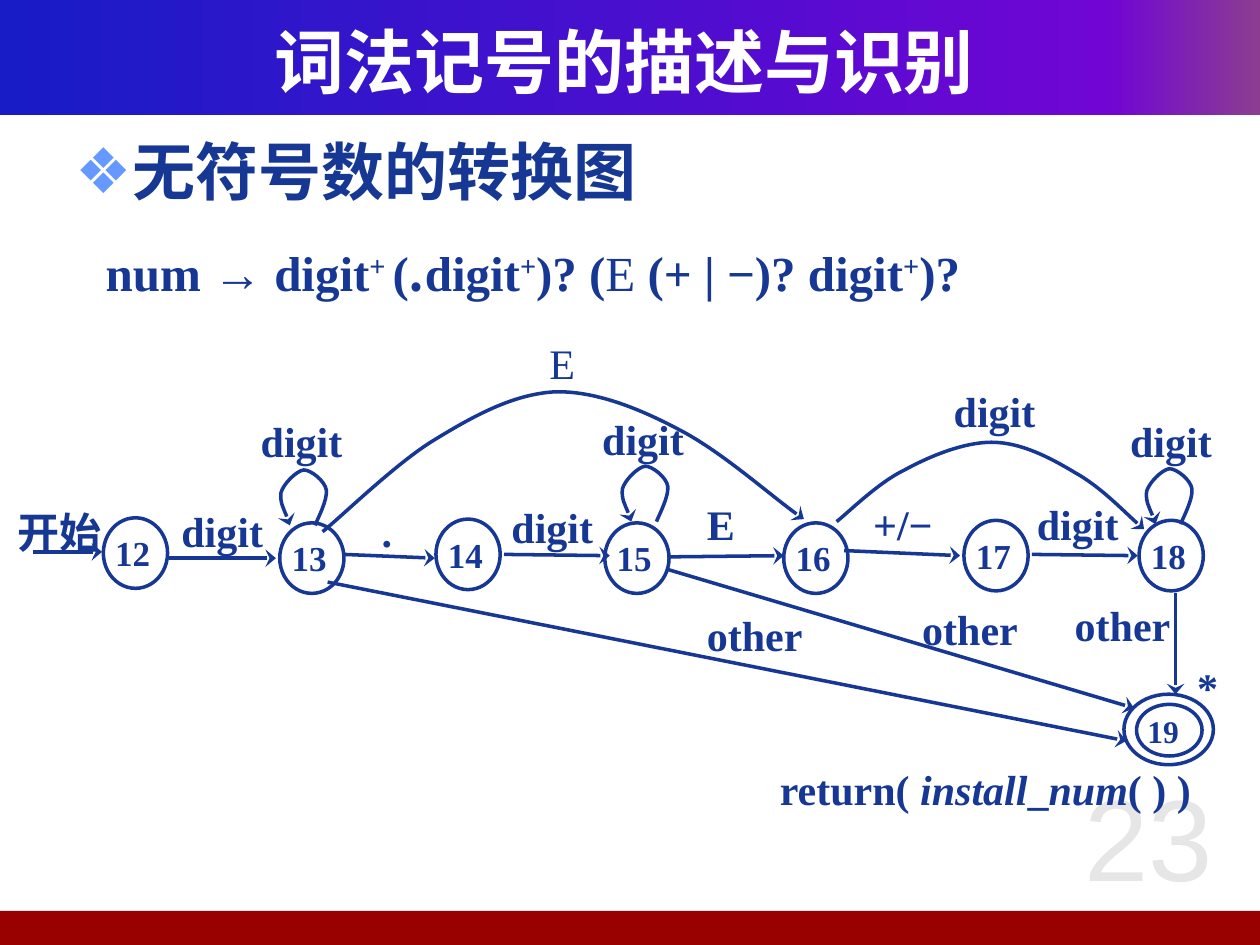
from dataclasses import dataclass

from lxml import etree
from pptx import Presentation
from pptx.dml.color import RGBColor
from pptx.enum.shapes import MSO_CONNECTOR, MSO_SHAPE
from pptx.enum.text import MSO_ANCHOR, PP_ALIGN
from pptx.oxml.ns import qn
from pptx.util import Inches, Pt

RECTANGLE, OVAL = MSO_SHAPE.RECTANGLE, MSO_SHAPE.OVAL
STRAIGHT = MSO_CONNECTOR.STRAIGHT
LEFT, CENTER, JUSTIFY = PP_ALIGN.LEFT, PP_ALIGN.CENTER, PP_ALIGN.JUSTIFY
TOP, MIDDLE = MSO_ANCHOR.TOP, MSO_ANCHOR.MIDDLE
SERIF, CHINESE = "Times New Roman", "Noto Sans CJK SC"
NAVY, WHITE = "163794", "FFFFFF"
DEFAULT_INSETS = (0.1, 0.05, 0.1, 0.05)
LABEL_INSETS = (0.06, 0.03, 0.06, 0.03)
STATE_INSETS = (0.02, 0.03, 0.02, 0.05)


@dataclass
class State:
    name: str
    left: float
    top: float


@dataclass
class Label:
    text: str
    left: float
    top: float
    width: float = 0.87
    height: float = 0.53
    bold: bool = True


STATES = [
    State("12", 0.82, 4.11), State("13", 2.22, 4.15), State("14", 3.46, 4.12),
    State("15", 4.8, 4.15), State("16", 6.22, 4.15), State("17", 7.65, 4.13),
    State("18", 9.04, 4.13),
]
LABELS = [
    Label("开始", 0.08, 3.99, 0.83, 0.4),
    Label("digit", 1.38, 3.98, 0.85, 0.42), Label("digit", 2.01, 3.27, 0.87, 0.46),
    Label("digit", 4, 3.95), Label("digit", 4.72, 3.25), Label("digit", 8.17, 3.93),
    Label("digit", 8.91, 3.27), Label("digit", 7.51, 3.03),
    Label("other", 8.47, 4.73, 1.07), Label("other", 7.26, 4.76, 1.07),
    Label("other", 5.55, 4.81, 1.07),
    Label(".", 2.97, 3.98, 0.46), Label("E", 5.55, 3.93, 0.82),
    Label("+/−", 6.87, 3.93, 0.82), Label("E", 4.3, 2.65, 0.58, 0.42, bold=False),
    Label("*", 9.44, 5.22, 0.45),
]
ARROWS = [
    ((0.26, 4.38), (0.81, 4.38)), ((1.34, 4.43), (2.19, 4.43)),
    ((2.73, 4.4), (3.45, 4.43)), ((4, 4.4), (4.84, 4.41)),
    ((5.3, 4.42), (6.22, 4.41)), ((6.7, 4.37), (7.62, 4.41)),
    ((8.19, 4.4), (9.03, 4.41)), ((9.33, 4.71), (9.33, 5.51)),
    ((5.3, 4.52), (9, 5.62)), ((2.6, 4.62), (8.94, 5.88)),
]
LOOP = [
    (0.28, 0.44), (0.3, 0.39), (0.38, 0.24), (0.37, 0.16), (0.36, 0.09), (0.25, 0),
    (0.19, 0), (0.13, 0.01), (0.03, 0.11), (0.01, 0.18), (0, 0.26), (0.07, 0.39),
    (0.08, 0.44),
]
LOOP_ORIGINS = [(2.22, 3.73), (4.93, 3.7), (9.09, 3.72)]
ARCS = [
    [(2.56, 4.22), (2.71, 4.1), (3.15, 3.67), (3.45, 3.49), (3.76, 3.3), (4.07, 3.13),
     (4.4, 3.11), (4.72, 3.1), (5.07, 3.24), (5.39, 3.41), (5.72, 3.58), (6.17, 3.98),
     (6.38, 4.12)],
    [(6.64, 4.14), (6.73, 4.07), (6.97, 3.83), (7.18, 3.73), (7.38, 3.62), (7.65, 3.51),
     (7.87, 3.51), (8.1, 3.51), (8.33, 3.63), (8.53, 3.75), (8.73, 3.86), (8.97, 4.11),
     (9.08, 4.2)],
]
FORMULA = [
    ("num → digit", {}), ("+ ", {"raised": True}), ("(", {}), (".", {"font": CHINESE}),
    ("digit", {}), ("+", {"raised": True}), (")? (", {}), ("E ", {"bold": False}),
    ("(+ | −)? digit", {}), ("+", {"raised": True}), (")?", {}),
]
RETURN_CALL = [
    ("return( ", {}), ("install", {"italic": True}), ("_", {}),
    ("num", {"italic": True}), ("( ) )", {}),
]
GRADIENT = [(0, "181CC7"), (88, "7005D4"), (100, "8C3D91")]


def color(value: str) -> RGBColor:
    return RGBColor.from_string(value)


def add_run(paragraph, text: str, *, size=24, font=SERIF, fill=NAVY, bold=True,
            italic=False, raised=False) -> None:
    run = paragraph.add_run()
    run.text = text
    run.font.size = Pt(size)
    run.font.name = font
    run.font.bold = bold
    run.font.italic = italic
    run.font.color.rgb = color(fill)
    properties = run.font._element
    if any("一" <= character <= "龥" for character in text):
        etree.SubElement(properties, qn("a:ea")).set("typeface", CHINESE)
    if raised:
        properties.set("baseline", "30000")


def format_frame(shape, insets=DEFAULT_INSETS, align=LEFT, anchor=TOP):
    frame = shape.text_frame
    frame.word_wrap = True
    frame.vertical_anchor = anchor
    (frame.margin_left, frame.margin_top,
     frame.margin_right, frame.margin_bottom) = map(Inches, insets)
    frame.paragraphs[0].alignment = align
    return frame.paragraphs[0]


def place(shape, left: float, top: float, width: float, height: float) -> None:
    shape.left, shape.top = Inches(left), Inches(top)
    shape.width, shape.height = Inches(width), Inches(height)


def add_box(slide, preset, box, *, fill=None, line=None, weight=2):
    shape = slide.shapes.add_shape(preset, *map(Inches, box))
    shape.shadow.inherit = False
    if fill:
        shape.fill.solid()
        shape.fill.fore_color.rgb = color(fill)
    else:
        shape.fill.background()
    if line:
        shape.line.color.rgb = color(line)
        shape.line.width = Pt(weight)
    else:
        shape.line.fill.background()
    return shape


def add_text(slide, box, *, insets=LABEL_INSETS, align=JUSTIFY):
    return format_frame(slide.shapes.add_textbox(*map(Inches, box)), insets, align)


def style_arrow(shape) -> None:
    shape.line.color.rgb = color(NAVY)
    shape.line.width = Pt(2)
    line = shape._element.spPr.find(qn("a:ln"))
    head = etree.SubElement(line, qn("a:tailEnd"))
    head.set("type", "stealth")
    head.set("w", "lg")


def add_arrow(slide, start, end) -> None:
    connector = slide.shapes.add_connector(STRAIGHT, *map(Inches, start + end))
    style_arrow(connector)
    etree.SubElement(connector._element.spPr, qn("a:effectLst"))


def add_curve(slide, controls) -> None:
    points = [(Inches(x), Inches(y)) for x, y in controls]
    builder = slide.shapes.build_freeform(*points[0])
    builder.add_line_segments(points[1:], close=False)
    shape = builder.convert_to_shape()
    segments = list(shape._element.spPr.iter(qn("a:lnTo")))
    outline = segments[0].getparent()
    for index in range(0, len(segments), 3):
        curve = etree.SubElement(outline, qn("a:cubicBezTo"))
        for segment in segments[index:index + 3]:
            curve.append(segment[0])
            outline.remove(segment)
    shape.shadow.inherit = False
    shape.fill.background()
    style_arrow(shape)


def add_state(slide, box, name: str, size=20, insets=STATE_INSETS) -> None:
    shape = add_box(slide, OVAL, box, line=NAVY)
    add_run(format_frame(shape, insets), name, size=size)


def add_background(slide) -> None:
    header = add_box(slide, RECTANGLE, (0, 0, 10, 0.91))
    header.fill.gradient()
    header.fill.gradient_angle = 0
    stops = header._element.spPr.find(qn("a:gradFill")).find(qn("a:gsLst"))
    stops.clear()
    for position, value in GRADIENT:
        stop = etree.SubElement(stops, qn("a:gs"))
        stop.set("pos", str(position * 1000))
        etree.SubElement(stop, qn("a:srgbClr")).set("val", value)
    add_box(slide, RECTANGLE, (-0.04, 7.23, 10.04, 0.27), fill="990000")
    number = add_text(slide, (8.23, 6.03, 1.77, 1.42), insets=DEFAULT_INSETS, align=CENTER)
    add_run(number, "23", size=66, font="Arial", fill="E6E6E6", bold=False)


def fill_placeholders(slide) -> None:
    title, body = slide.shapes.title, slide.placeholders[1]
    for placeholder in (title, body):
        slide.shapes._spTree.append(placeholder._element)
    place(title, 0.33, 0.17, 9.25, 0.62)
    add_run(format_frame(title, (0, 0, 0, 0), CENTER, MIDDLE), "词法记号的描述与识别",
            size=40, font=CHINESE, fill=WHITE)
    place(body, 0.5, 1.07, 9, 5.74)
    paragraph = format_frame(body)
    paragraph.line_spacing = 0.9
    properties = paragraph._element.get_or_add_pPr()
    properties.set("marL", str(Inches(0.38)))
    properties.set("indent", str(-Inches(0.38)))
    bullet_color = etree.SubElement(properties, qn("a:buClr"))
    etree.SubElement(bullet_color, qn("a:srgbClr")).set("val", "6699FF")
    etree.SubElement(properties, qn("a:buChar")).set("char", "❖")
    add_run(paragraph, "无符号数的转换图", size=36, font=CHINESE)


def main() -> None:
    presentation = Presentation()
    presentation.slide_width, presentation.slide_height = Inches(10), Inches(7.5)
    slide = presentation.slides.add_slide(presentation.slide_layouts[1])
    add_background(slide)
    fill_placeholders(slide)
    add_box(slide, OVAL, (8.92, 5.51, 0.71, 0.56), line=NAVY)
    add_state(slide, (9.02, 5.59, 0.52, 0.41), "19", 18, (0.01, 0, 0.01, 0))
    for state in STATES:
        add_state(slide, (state.left, state.top, 0.51, 0.56), state.name)
    for label in LABELS:
        paragraph = add_text(slide, (label.left, label.top, label.width, label.height))
        add_run(paragraph, label.text, bold=label.bold)
    for start, end in ARROWS:
        add_arrow(slide, start, end)
    for left, top in LOOP_ORIGINS:
        add_curve(slide, [(left + x, top + y) for x, y in LOOP])
    for arc in ARCS:
        add_curve(slide, arc)
    return_call = add_text(slide, (6.13, 6.03, 3.47, 0.53))
    for text, options in RETURN_CALL:
        add_run(return_call, text, **options)
    formula = add_box(slide, RECTANGLE, (0.74, 1.74, 7.58, 0.83), line=WHITE, weight=1)
    paragraph = format_frame(formula, anchor=MIDDLE)
    for text, options in FORMULA:
        add_run(paragraph, text, size=28, **options)
    presentation.save("out.pptx")


if __name__ == "__main__":
    main()
